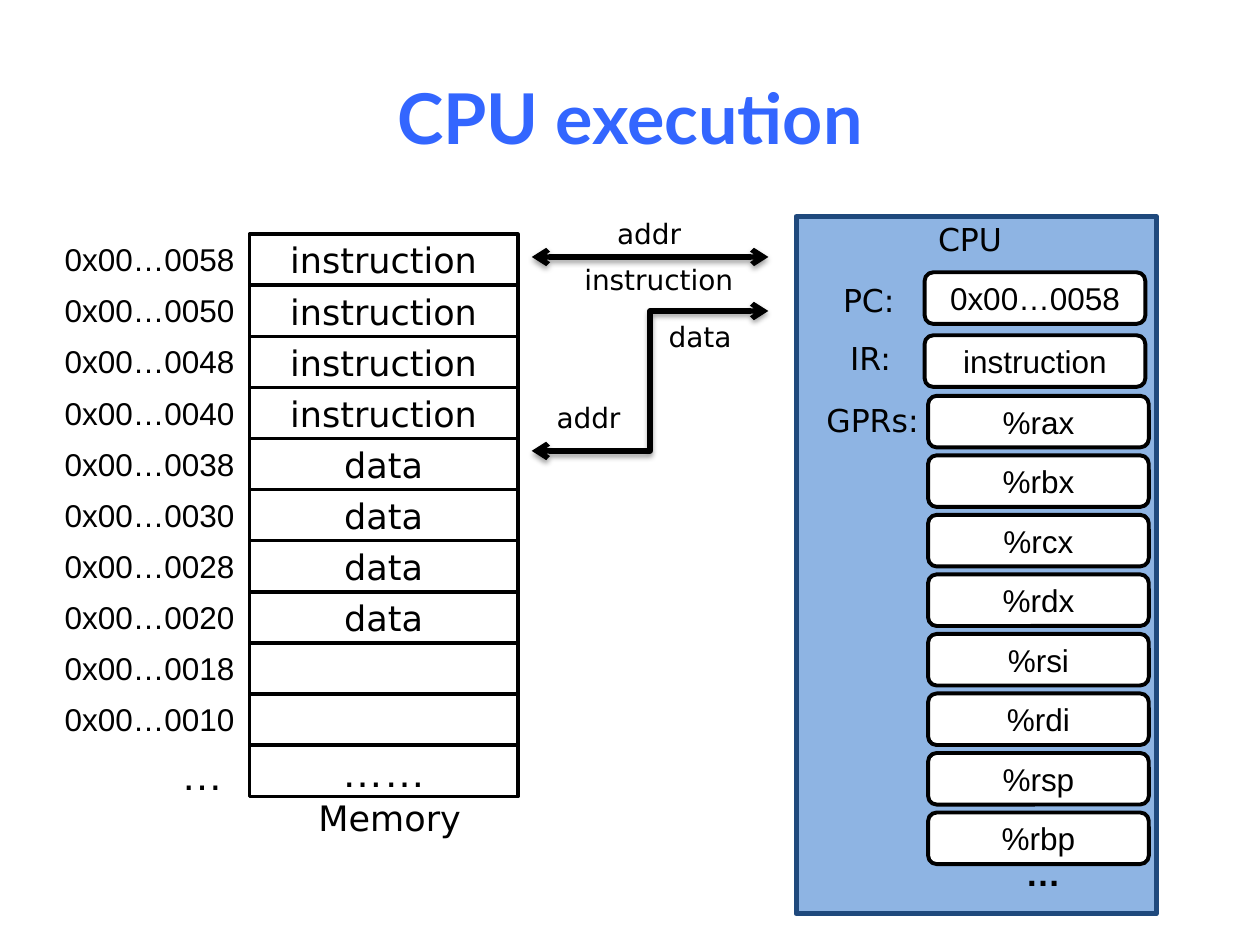
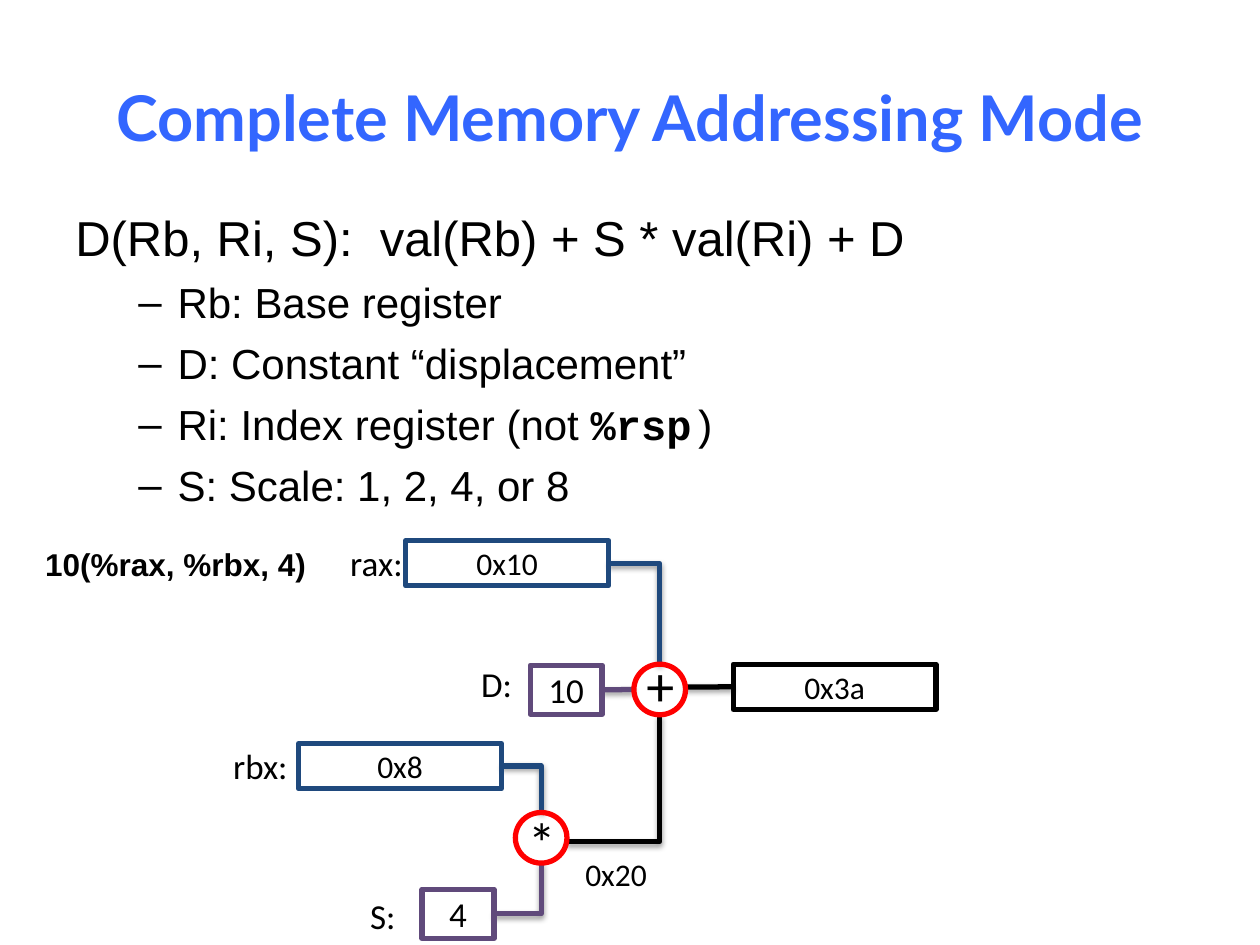
"""Build two slides on CPU execution and memory addressing."""
from lxml import etree
from pptx import Presentation, util as u
from pptx.dml import color as dml
from pptx.enum import shapes as sh, text as tx
from pptx.oxml import ns

BLACK, WHITE, RED = "000000", "FFFFFF", "FF0000"
TITLE, SKY, NAVY, PLUM = "3366FF", "8EB4E3", "1F497D", "604A7B"
SANS, PLAIN, BODY, HEAD, MONO = "DejaVu Sans", "Arial", "Calibri", "Lato", "Courier New"
LEFT, MID, RIGHT = tx.PP_ALIGN.LEFT, tx.PP_ALIGN.CENTER, tx.PP_ALIGN.RIGHT
RECT, ROUND, OVAL = (sh.MSO_SHAPE.RECTANGLE, sh.MSO_SHAPE.ROUNDED_RECTANGLE,
                     sh.MSO_SHAPE.OVAL)


def rgb(code):
    return dml.RGBColor.from_string(code)


def cm(*sizes):
    return [u.Cm(size) for size in sizes]


def style(para, font, size, bold=False, tint=BLACK, align=LEFT):
    para.alignment = align
    for run in para.runs:
        run.font.name = font
        run.font.size = u.Pt(size)
        run.font.bold = bold
        run.font.color.rgb = rgb(tint)


def start(deck, words, size):
    slide = deck.slides.add_slide(deck.slide_layouts[5])
    title = slide.shapes.title
    title.left, title.top, title.width, title.height = cm(1.27, 0.76, 22.86, 3.18)
    frame = title.text_frame
    frame.text = words
    frame.vertical_anchor = tx.MSO_ANCHOR.MIDDLE
    style(frame.paragraphs[0], HEAD, size, True, TITLE, MID)
    return slide


def box(slide, area, words="", kind=RECT, fill=None, edge=BLACK, width=3,
        font=BODY, size=18):
    shape = slide.shapes.add_shape(kind, *cm(*area))
    shape.shadow.inherit = False
    if fill:
        shape.fill.solid()
        shape.fill.fore_color.rgb = rgb(fill)
    else:
        shape.fill.background()
    shape.line.color.rgb = rgb(edge)
    shape.line.width = u.Pt(width)
    if words:
        frame = shape.text_frame
        frame.text = words
        frame.vertical_anchor = tx.MSO_ANCHOR.MIDDLE
        style(frame.paragraphs[0], font, size, align=MID)
    return shape


def label(slide, area, words, font, size, align=LEFT, bold=False):
    frame = slide.shapes.add_textbox(*cm(*area)).text_frame
    frame.word_wrap = False
    frame.auto_size = tx.MSO_AUTO_SIZE.SHAPE_TO_FIT_TEXT
    frame.text = words
    style(frame.paragraphs[0], font, size, bold, align=align)


def wire(slide, ends, tint=BLACK, kind=sh.MSO_CONNECTOR.STRAIGHT):
    line = slide.shapes.add_connector(kind, *cm(*ends))
    line.line.color.rgb = rgb(tint)
    line.line.width = u.Pt(3)
    return line


def corner(slide, ends, tint=BLACK):
    line = wire(slide, ends, tint, sh.MSO_CONNECTOR.ELBOW)
    line._element.spPr.find(ns.qn("a:prstGeom")).set("prst", "bentConnector2")


def arrow(slide, ends, kind):
    line = wire(slide, ends, kind=kind)
    edge = line._element.spPr.find(ns.qn("a:ln"))
    for tip in ("a:headEnd", "a:tailEnd"):
        etree.SubElement(edge, ns.qn(tip), type="arrow")


def dash(para):
    para.level = 1
    para.space_before = u.Pt(6)
    props = para._p.get_or_add_pPr()
    props.set("marL", str(u.Cm(2.06)))
    props.set("indent", str(-u.Cm(0.79)))
    etree.SubElement(props, ns.qn("a:buFont"), typeface=PLAIN)
    etree.SubElement(props, ns.qn("a:buChar"), char="–")


def rules(slide):
    frame = slide.shapes.add_textbox(*cm(1.27, 4.06, 22.86, 6.5)).text_frame
    frame.word_wrap = True
    frame.text = "D(Rb, Ri, S):  val(Rb) + S * val(Ri) + D"
    style(frame.paragraphs[0], PLAIN, 28)
    for parts in (["Rb: Base register"], ["D: Constant “displacement”"],
                  ["Ri: Index register (not ", "%rsp", ")"],
                  ["S: Scale: 1, 2, 4, or 8"]):
        para = frame.add_paragraph()
        dash(para)
        for part in parts:
            para.add_run().text = part
        style(para, PLAIN, 24)
        for run in para.runs[1:]:
            run.font.name = MONO
            run.font.bold = run.text == "%rsp"


def memory(slide):
    cells = ["instruction"] * 4 + ["data"] * 4 + [""] * 2
    for row, words in enumerate(cells):
        top = 4.72 + 1.03 * row
        box(slide, (5.03, top, 5.41, 1.04), words, fill=WHITE, width=2,
            font=SANS, size=20)
        label(slide, (1.02, top, 3.96, 1.02), f"0x00…{0x58 - 8 * row:04x}",
              PLAIN, 18, RIGHT)
    box(slide, (5.03, 15.02, 5.41, 1.04), "……", fill=WHITE, width=2,
        font=PLAIN, size=24)
    label(slide, (3.38, 14.96, 1.37, 1.27), "…", PLAIN, 24, RIGHT)
    label(slide, (6.17, 15.93, 3.38, 1.12), "Memory", SANS, 20)


def bus(slide):
    arrow(slide, (15.49, 5.18, 10.72, 5.18), sh.MSO_CONNECTOR.STRAIGHT)
    arrow(slide, (15.49, 6.27, 10.72, 9.09), sh.MSO_CONNECTOR.ELBOW)
    for left, top, width, words in ((12.19, 4.24, 1.8, "addr"),
                                    (11.53, 5.16, 3.53, "instruction"),
                                    (10.97, 7.95, 2.16, "addr"),
                                    (13.23, 6.32, 2.16, "data")):
        label(slide, (left, top, width, 0.94), words, SANS, 16)


def chip(slide):
    box(slide, (16.05, 4.37, 7.26, 14.05), fill=SKY, edge=NAVY)
    for left, top, width, words in ((18.64, 4.32, 1.83, "CPU"),
                                    (16.69, 5.54, 1.65, "PC:"),
                                    (16.79, 6.71, 1.52, "IR:"),
                                    (16.36, 7.95, 2.46, "GPRs:")):
        label(slide, (left, top, width, 1.02), words, SANS, 18, MID)
    banks = ((18.64, 5.49, 1.27, ("0x00…0058", "instruction")),
             (18.71, 7.98, 1.2, ("%rax", "%rbx", "%rcx", "%rdx",
                                 "%rsi", "%rdi", "%rsp", "%rbp")))
    for left, top, step, names in banks:
        for row, name in enumerate(names):
            box(slide, (left, top + step * row, 4.45, 1.04), name, ROUND,
                WHITE, width=2.25, font=PLAIN)
    label(slide, (20.42, 17.04, 1.22, 1.12), "…", PLAIN, 20, MID, True)


def sample(slide):
    label(slide, (0.66, 10.87, 5.82, 1.02), "10(%rax, %rbx, 4)", PLAIN, 18,
          bold=True)
    for left, top, width, words in ((6.81, 10.8, 1.6, "rax:"),
                                    (9.45, 13.23, 1.14, "D:"),
                                    (4.45, 14.88, 1.63, "rbx:"),
                                    (7.21, 17.91, 1.04, "S:")):
        label(slide, (left, top, width, 1.12), words, BODY, 20)
    label(slide, (11.53, 17.12, 1.78, 1.02), "0x20", BODY, 18, MID)

    corner(slide, (12.27, 11.36, 13.3, 13.39), NAVY)
    corner(slide, (10.11, 15.44, 10.91, 16.38), NAVY)
    corner(slide, (9.96, 18.42, 10.91, 17.4), PLUM)
    corner(slide, (11.43, 16.97, 13.3, 14.41))
    shift = wire(slide, (12.14, 13.9, 12.78, 13.9), PLUM)
    total = wire(slide, (13.82, 13.85, 14.78, 13.85))

    for left, top, words, edge in ((8.18, 10.9, "0x10", NAVY),
                                   (6.02, 14.99, "0x8", NAVY)):
        box(slide, (left, top, 4.09, 0.91), words, edge=edge)
    box(slide, (8.51, 17.93, 1.45, 0.99), "4", edge=PLUM, size=20)
    ten = box(slide, (10.69, 13.41, 1.45, 0.99), "10", edge=PLUM, size=20)
    sum_box = box(slide, (14.78, 13.39, 4.09, 0.91), "0x3a")
    shift.begin_connect(ten, 3)
    total.end_connect(sum_box, 1)

    for left, top, sign, rise in ((12.78, 13.39, "+", 0.41),
                                  (10.39, 16.38, "*", 0.23)):
        box(slide, (left, top, 1.04, 1.02), kind=OVAL, edge=RED)
        label(slide, (left, top - rise, 1.09, 1.63), sign, BODY, 32)


def main():
    deck = Presentation()
    deck.slide_width, deck.slide_height = cm(25.4, 19.05)
    slide = start(deck, "CPU execution", 40)
    memory(slide)
    chip(slide)
    bus(slide)
    slide = start(deck, "Complete Memory Addressing Mode", 36)
    rules(slide)
    sample(slide)
    deck.save("out.pptx")


if __name__ == "__main__":
    main()
